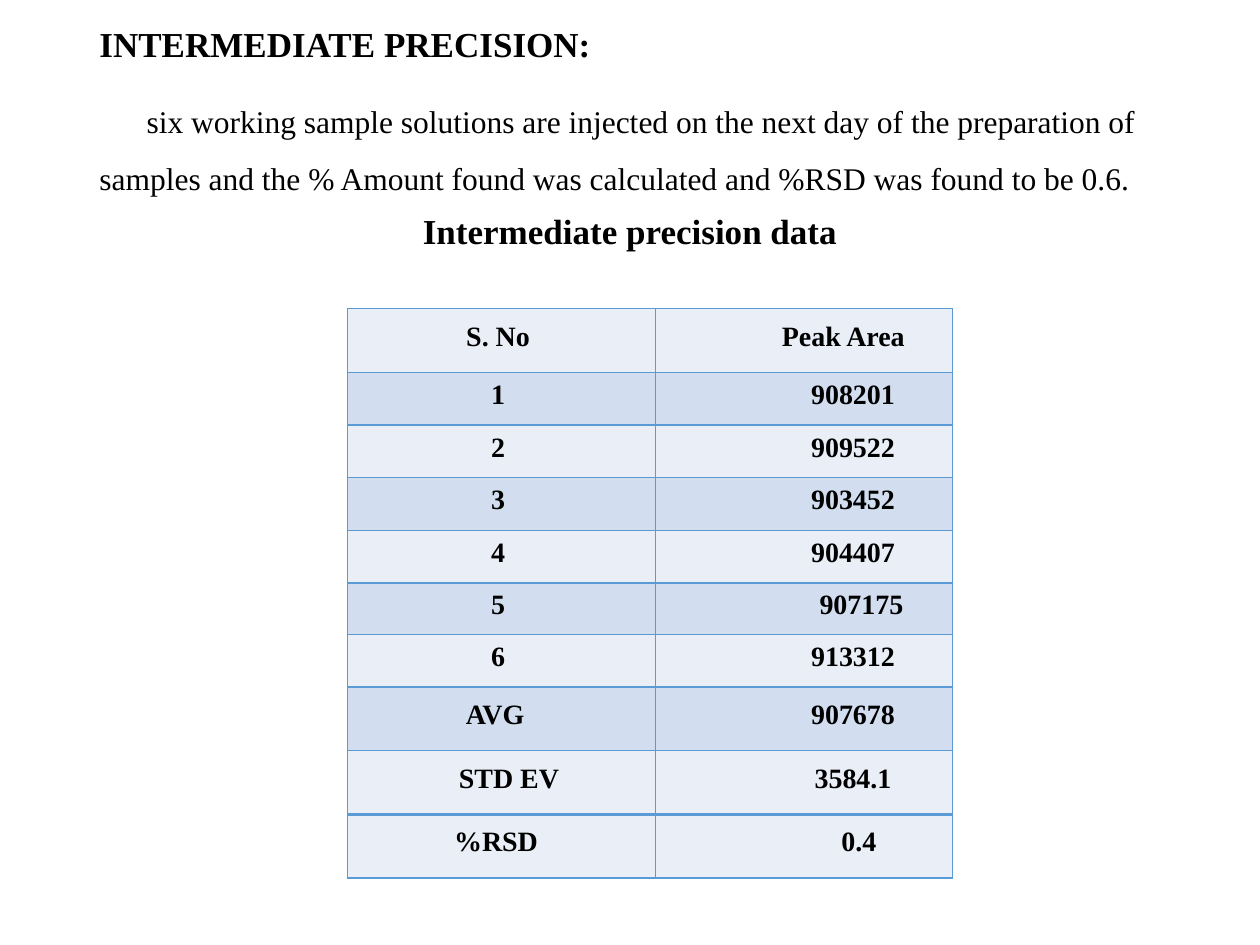
from lxml import etree
from pptx import Presentation, util as u
from pptx.dml.color import RGBColor
from pptx.enum import text
from pptx.oxml.ns import qn

ALIGN = text.PP_ALIGN
PALE, BAND, LINE = "EAEFF7", "D2DEEF", "5B9BD5"

# label, value, row height, label shift, value shift, fill (lengths in cm)
ROWS = [
    ("S. No", "Peak Area", 1.29, -0.14, 1.59, PALE),
    ("1", "908201", 1.06, -0.14, 1.98, BAND),
    ("2", "909522", 1.06, -0.14, 1.98, PALE),
    ("3", "903452", 1.06, -0.14, 1.98, BAND),
    ("4", "904407", 1.06, -0.14, 1.98, PALE),
    ("5", "907175", 1.04, -0.14, 2.32, BAND),
    ("6", "913312", 1.06, -0.14, 1.98, PALE),
    ("AVG", "907678", 1.28, -0.26, 1.98, BAND),
    ("STD EV", "3584.1", 1.29, 0.3, 1.98, PALE),
    ("%RSD", "0.4", 1.28, -0.22, 2.22, PALE),
]

PARAGRAPHS = [
    ("INTERMEDIATE PRECISION:", 0,
     {"line_spacing": 0.9, "space_before": u.Pt(0)}, {"size": u.Pt(20), "bold": True}),
    ("six working sample solutions are injected on the next day of the preparation of "
     "samples and the % Amount found was calculated and %RSD was found to be 0.6.", 0.95,
     {"line_spacing": 1.5, "space_before": u.Pt(10)}, {"size": u.Pt(18), "bold": False}),
    ("Intermediate precision data", 0,
     {"line_spacing": 0.9, "space_before": u.Pt(10), "alignment": ALIGN.CENTER},
     {"size": u.Pt(20), "bold": True}),
]


def rgb(value):
    return RGBColor.from_string(value)


def apply(target, values):
    for name, value in values.items():
        setattr(target, name, value)


class SlideBuilder:
    font = "Times New Roman"
    ink = "000000"

    def __init__(self, slide):
        self.slide = slide

    def add_words(self, para, words, layout, style):
        apply(para, layout)
        span = para.add_run()
        span.text = words
        apply(span.font, {"name": self.font, **style})
        span.font.color.rgb = rgb(self.ink)

    def body(self, left, top, width, height, paragraphs):
        box = self.slide.placeholders[1]
        apply(box, {"left": u.Cm(left), "top": u.Cm(top),
                    "width": u.Cm(width), "height": u.Cm(height)})
        frame = box.text_frame
        frame.auto_size = text.MSO_AUTO_SIZE.NONE
        for index, (words, indent, layout, style) in enumerate(paragraphs):
            para = frame.add_paragraph() if index else frame.paragraphs[0]
            props = para._p.get_or_add_pPr()
            props.set("marL", "0")
            props.set("indent", str(u.Cm(indent)))
            etree.SubElement(props, qn("a:buNone"))
            self.add_words(para, words, layout, style)

    def borders(self, cell, widths):
        """Draw the left, right, top and bottom edges, widths in points."""
        props = cell._tc.get_or_add_tcPr()
        for side, width in zip("LRTB", widths):
            edge = etree.SubElement(props, qn(f"a:ln{side}"), w=str(u.Pt(width)))
            fill = etree.SubElement(edge, qn("a:solidFill"))
            etree.SubElement(fill, qn("a:srgbClr"), val=LINE)

    def cell(self, cell, words, shift, fill, widths):
        """Fill one cell; shift moves the centred words sideways through the margins."""
        self.borders(cell, widths)
        cell.fill.solid()
        cell.fill.fore_color.rgb = rgb(fill)
        apply(cell, {"margin_left": u.Cm(max(shift, 0)), "margin_right": u.Cm(max(-shift, 0)),
                     "margin_top": 0, "margin_bottom": 0,
                     "vertical_anchor": text.MSO_ANCHOR.MIDDLE})
        self.add_words(cell.text_frame.paragraphs[0], words,
                       {"alignment": ALIGN.CENTER, "line_spacing": u.Pt(13.4)},
                       {"size": u.Pt(16), "bold": True})

    def table(self, left, top, columns, rows):
        height = sum(row[2] for row in rows)
        table = self.slide.shapes.add_table(
            len(rows), len(columns), u.Cm(left), u.Cm(top),
            u.Cm(sum(columns)), u.Cm(height)).table
        apply(table, {"first_row": False, "horz_banding": False})
        for column, width in zip(table.columns, columns):
            column.width = u.Cm(width)
        last = len(rows) - 1
        for index, (label, value, height, label_shift, value_shift, fill) in enumerate(rows):
            table.rows[index].height = u.Cm(height)
            widths = (1, 1, 2 if index == last else 1, 2 if index == last - 1 else 1)
            self.cell(table.cell(index, 0), label, label_shift, fill, widths)
            self.cell(table.cell(index, 1), value, value_shift, fill, widths)


def main():
    deck = Presentation()
    apply(deck, {"slide_width": u.Cm(25.4), "slide_height": u.Cm(19.05)})
    page = deck.slides.add_slide(deck.slide_layouts[1])
    title = page.shapes.title.element
    title.getparent().remove(title)

    builder = SlideBuilder(page)
    builder.body(1.75, 0.43, 21.9, 17.96, PARAGRAPHS)
    builder.table(7.01, 6.22, (6.2, 5.99), ROWS)
    deck.save("out.pptx")


if __name__ == "__main__":
    main()
